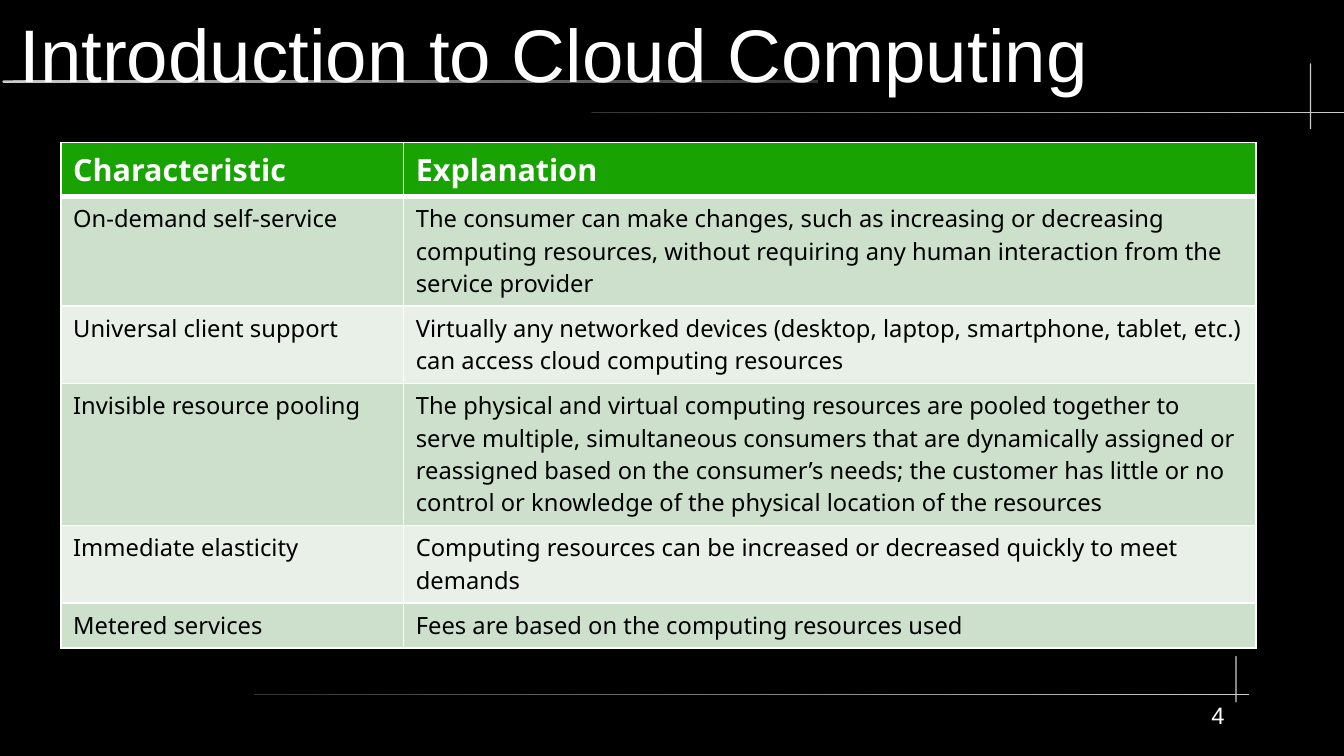
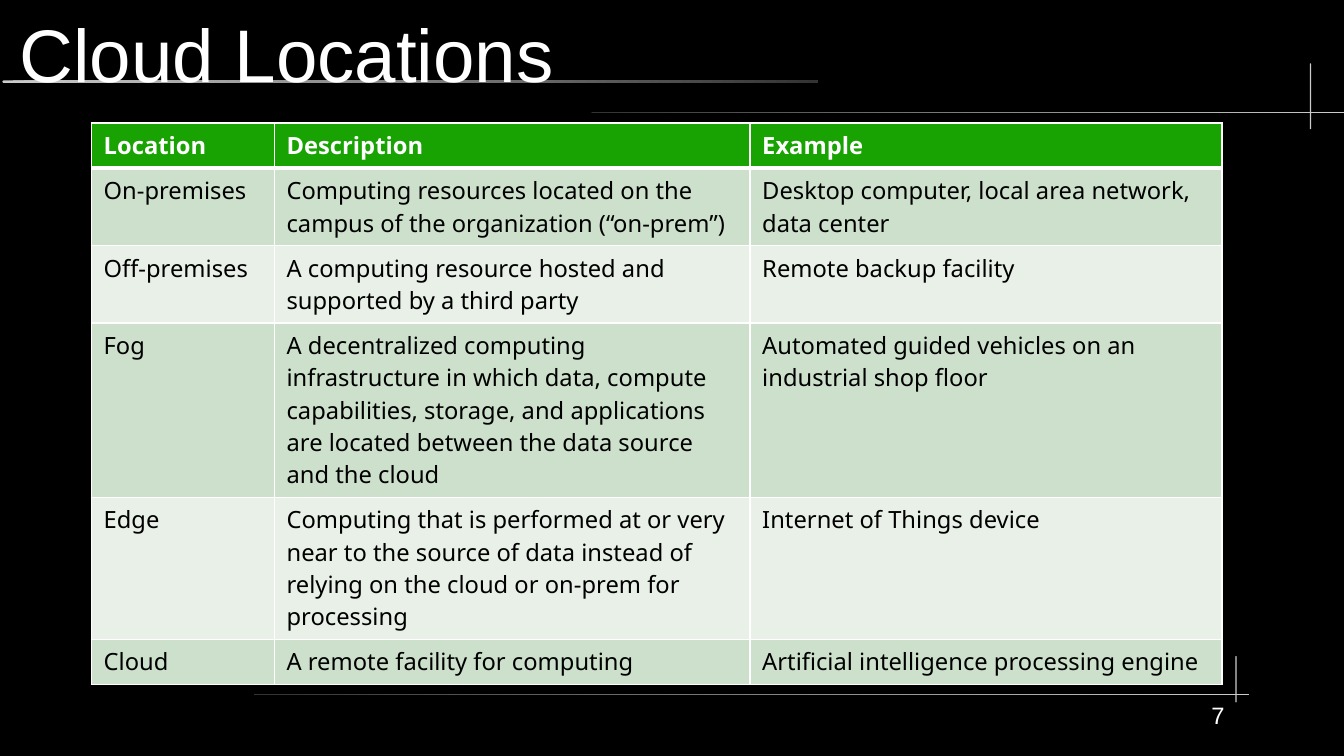
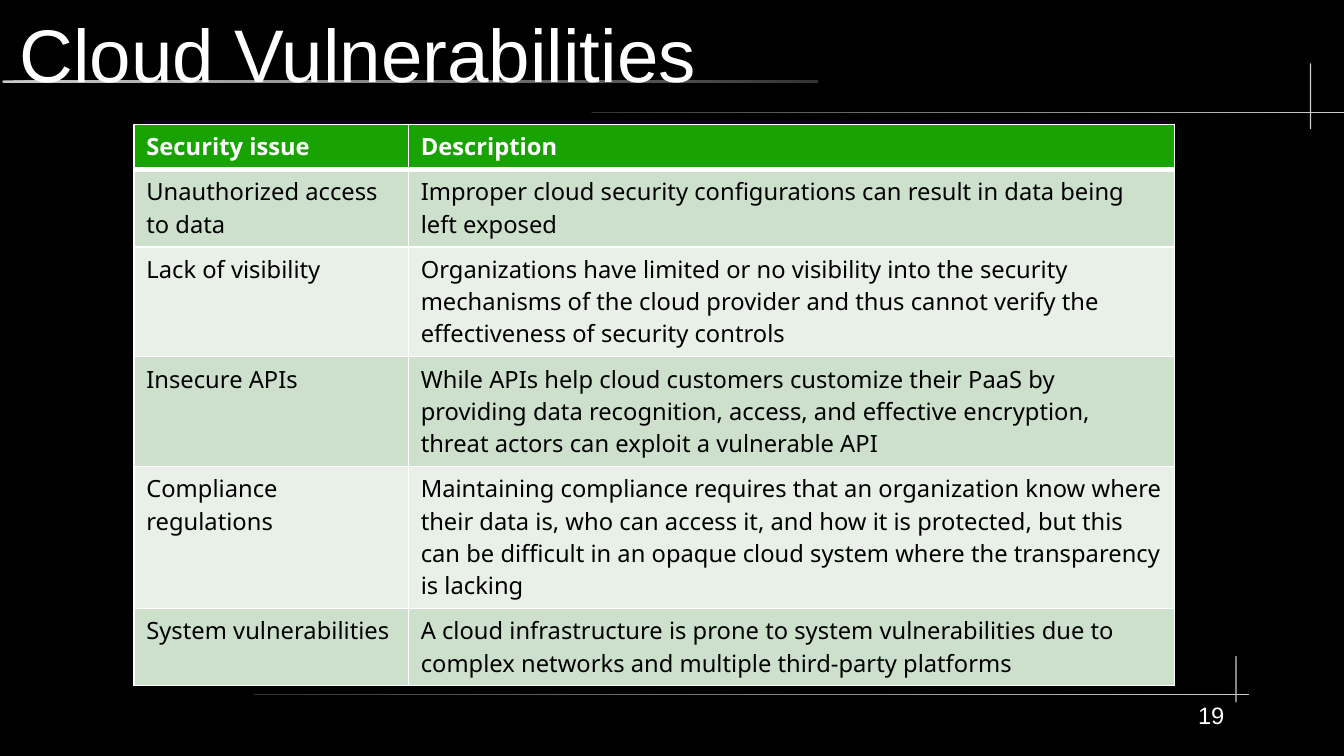
import lxml.etree
import pptx
import pptx.dml.color
import pptx.enum.shapes
import pptx.enum.text
import pptx.oxml.ns
import pptx.util

RGBColor = pptx.dml.color.RGBColor
Inches = pptx.util.Inches

BLACK = RGBColor(0x00, 0x00, 0x00)
WHITE = RGBColor(0xFF, 0xFF, 0xFF)
DARK_GREY = RGBColor(0x33, 0x33, 0x33)
LIGHT_GREY = RGBColor(0xCC, 0xCC, 0xCC)
HEADER_GREEN = RGBColor(0x18, 0xA3, 0x03)
BAND_GREENS = (RGBColor(0xCC, 0xE0, 0xCC), RGBColor(0xE8, 0xF0, 0xE7))

SLIDE_WIDTH, SLIDE_HEIGHT = 11.02, 6.2
TITLE_BOX = (0.16, 0.08, 10.43, 0.71)
NUMBER_BOX = (8.27, 5.75, 1.77, 0.45)
TITLE_FONT, TABLE_FONT = "Arial", "Noto Sans"
TITLE_SIZE, BODY_SIZE = 44, 14
FIRST_LINE, NEXT_LINE = 0.37, 0.265
THIN_BORDER, THICK_BORDER = 0.96, 3

RULES = (
    ((0.02, 0.66, 6.69, 0.02), LIGHT_GREY, DARK_GREY),
    ((4.85, 0.92, 6.17, 0.01), DARK_GREY, LIGHT_GREY),
    ((10.74, 0.52, 0.01, 0.54), LIGHT_GREY, LIGHT_GREY),
    ((2.08, 5.69, 8.16, 0.01), DARK_GREY, LIGHT_GREY),
    ((10.13, 5.38, 0.01, 0.38), LIGHT_GREY, LIGHT_GREY),
)

SLIDES = (
    {
        "title": "Introduction to Cloud Computing",
        "number": "4",
        "corner": (0.5, 1.17),
        "columns": (2.81, 6.99),
        "header_size": 18,
        "header_height": 0.44,
        "line_counts": (3, 2, 4, 2, 1),
        "rows": (
            ("Characteristic", "Explanation"),
            ("On-demand self-service",
             "The consumer can make changes, such as increasing or decreasing computing "
             "resources, without requiring any human interaction from the service provider"),
            ("Universal client support",
             "Virtually any networked devices (desktop, laptop, smartphone, tablet, etc.) "
             "can access cloud computing resources"),
            ("Invisible resource pooling",
             "The physical and virtual computing resources are pooled together to serve "
             "multiple, simultaneous consumers that are dynamically assigned or reassigned "
             "based on the consumer’s needs; the customer has little or no control or "
             "knowledge of the physical location of the resources"),
            ("Immediate elasticity",
             "Computing resources can be increased or decreased quickly to meet demands"),
            ("Metered services", "Fees are based on the computing resources used"),
        ),
    },
    {
        "title": "Cloud Locations",
        "number": "7",
        "corner": (0.75, 1.01),
        "columns": (1.5, 3.9, 3.87),
        "header_size": BODY_SIZE,
        "header_height": FIRST_LINE,
        "line_counts": (2, 2, 5, 4, 1),
        "rows": (
            ("Location", "Description", "Example"),
            ("On-premises",
             "Computing resources located on the campus of the organization (“on-prem”)",
             "Desktop computer, local area network, data center"),
            ("Off-premises",
             "A computing resource hosted and supported by a third party",
             "Remote backup facility"),
            ("Fog",
             "A decentralized computing infrastructure in which data, compute capabilities, "
             "storage, and applications are located between the data source and the cloud",
             "Automated guided vehicles on an industrial shop floor"),
            ("Edge",
             "Computing that is performed at or very near to the source of data instead of "
             "relying on the cloud or on-prem for processing",
             "Internet of Things device"),
            ("Cloud",
             "A remote facility for computing",
             "Artificial intelligence processing engine"),
        ),
    },
    {
        "title": "Cloud Vulnerabilities",
        "number": "19",
        "corner": (1.1, 1.02),
        "columns": (2.25, 6.28),
        "header_size": BODY_SIZE,
        "header_height": FIRST_LINE,
        "line_counts": (2, 3, 3, 4, 2),
        "rows": (
            ("Security issue", "Description"),
            ("Unauthorized access to data",
             "Improper cloud security configurations can result in data being left exposed"),
            ("Lack of visibility",
             "Organizations have limited or no visibility into the security mechanisms of "
             "the cloud provider and thus cannot verify the effectiveness of security controls"),
            ("Insecure APIs",
             "While APIs help cloud customers customize their PaaS by providing data "
             "recognition, access, and effective encryption, threat actors can exploit a "
             "vulnerable API"),
            ("Compliance regulations",
             "Maintaining compliance requires that an organization know where their data is, "
             "who can access it, and how it is protected, but this can be difficult in an "
             "opaque cloud system where the transparency is lacking"),
            ("System vulnerabilities",
             "A cloud infrastructure is prone to system vulnerabilities due to complex "
             "networks and multiple third-party platforms"),
        ),
    },
)


def add_run(paragraph, text, font_name, size, color, bold=False):
    """Add one formatted run to a paragraph."""
    run = paragraph.add_run()
    run.text = text
    run.font.name = font_name
    run.font.size = pptx.util.Pt(size)
    run.font.color.rgb = color
    run.font.bold = bold


def add_text(slide, box, text, size, anchor, alignment):
    """Place one line of white text in a box without insets."""
    frame = slide.shapes.add_textbox(*map(Inches, box)).text_frame
    frame.word_wrap = True
    frame.margin_left = frame.margin_top = frame.margin_right = frame.margin_bottom = 0
    frame.vertical_anchor = anchor
    paragraph = frame.paragraphs[0]
    paragraph.alignment = alignment
    add_run(paragraph, text, TITLE_FONT, size, WHITE)


def add_rule(slide, box, start_color, end_color):
    """Draw a thin rounded rule that fades from one colour to another."""
    kind = pptx.enum.shapes.MSO_SHAPE.ROUNDED_RECTANGLE
    shape = slide.shapes.add_shape(kind, *map(Inches, box))
    shape.adjustments[0] = 0.5
    shape.shadow.inherit = False
    shape.line.fill.background()
    if start_color == end_color:
        shape.fill.solid()
        shape.fill.fore_color.rgb = start_color
        return
    shape.fill.gradient()
    shape.fill.gradient_angle = 0
    for stop, color in zip(shape.fill.gradient_stops, (start_color, end_color)):
        stop.color.rgb = color


def add_frame(slide, title, number):
    """Add the rules, the title and the slide number."""
    for box, start_color, end_color in RULES:
        add_rule(slide, box, start_color, end_color)
    anchors = pptx.enum.text.MSO_ANCHOR
    alignments = pptx.enum.text.PP_ALIGN
    add_text(slide, TITLE_BOX, title, TITLE_SIZE, anchors.MIDDLE, alignments.LEFT)
    add_text(slide, NUMBER_BOX, number, BODY_SIZE, anchors.TOP, alignments.RIGHT)


def set_borders(cell, top, bottom):
    """Give a cell white borders, with its own top and bottom widths."""
    properties = cell._tc.get_or_add_tcPr()
    qualify = pptx.oxml.ns.qn
    widths = {"L": THIN_BORDER, "R": THIN_BORDER, "T": top, "B": bottom}
    for side, width in widths.items():
        line = lxml.etree.SubElement(properties, qualify("a:ln" + side))
        line.set("w", str(int(pptx.util.Pt(width))))
        fill = lxml.etree.SubElement(line, qualify("a:solidFill"))
        lxml.etree.SubElement(fill, qualify("a:srgbClr")).set("val", str(WHITE))


def fill_cell(cell, text, row_index, header_size):
    """Write and colour a cell according to its row."""
    is_header = row_index == 0
    set_borders(
        cell,
        THICK_BORDER if row_index == 1 else THIN_BORDER,
        THICK_BORDER if is_header else THIN_BORDER,
    )
    cell.fill.solid()
    cell.fill.fore_color.rgb = HEADER_GREEN if is_header else BAND_GREENS[(row_index - 1) % 2]
    add_run(
        cell.text_frame.paragraphs[0],
        text,
        TABLE_FONT,
        header_size if is_header else BODY_SIZE,
        WHITE if is_header else BLACK,
        is_header,
    )


def add_green_table(slide, corner, columns, heights, rows, header_size):
    """Add a banded table with a green header at the given corner."""
    box = (*corner, sum(columns), sum(heights))
    table = slide.shapes.add_table(len(rows), len(columns), *map(Inches, box)).table
    table.horz_banding = False
    for column, width in zip(table.columns, columns):
        column.width = Inches(width)
    for row_index, (row, height, texts) in enumerate(zip(table.rows, heights, rows)):
        row.height = Inches(height)
        for cell, text in zip(row.cells, texts):
            fill_cell(cell, text, row_index, header_size)


def add_table_slide(presentation, content):
    """Add a slide with a title, a table and a number."""
    slide = presentation.slides.add_slide(presentation.slide_layouts[6])
    add_frame(slide, content["title"], content["number"])
    heights = [content["header_height"]]
    heights += [FIRST_LINE + NEXT_LINE * (count - 1) for count in content["line_counts"]]
    add_green_table(
        slide, content["corner"], content["columns"], heights,
        content["rows"], content["header_size"],
    )


def main():
    """Build and save the presentation."""
    presentation = pptx.Presentation()
    presentation.slide_width = Inches(SLIDE_WIDTH)
    presentation.slide_height = Inches(SLIDE_HEIGHT)
    background = presentation.slide_master.background.fill
    background.solid()
    background.fore_color.rgb = BLACK
    for content in SLIDES:
        add_table_slide(presentation, content)
    presentation.save("out.pptx")


if __name__ == "__main__":
    main()
